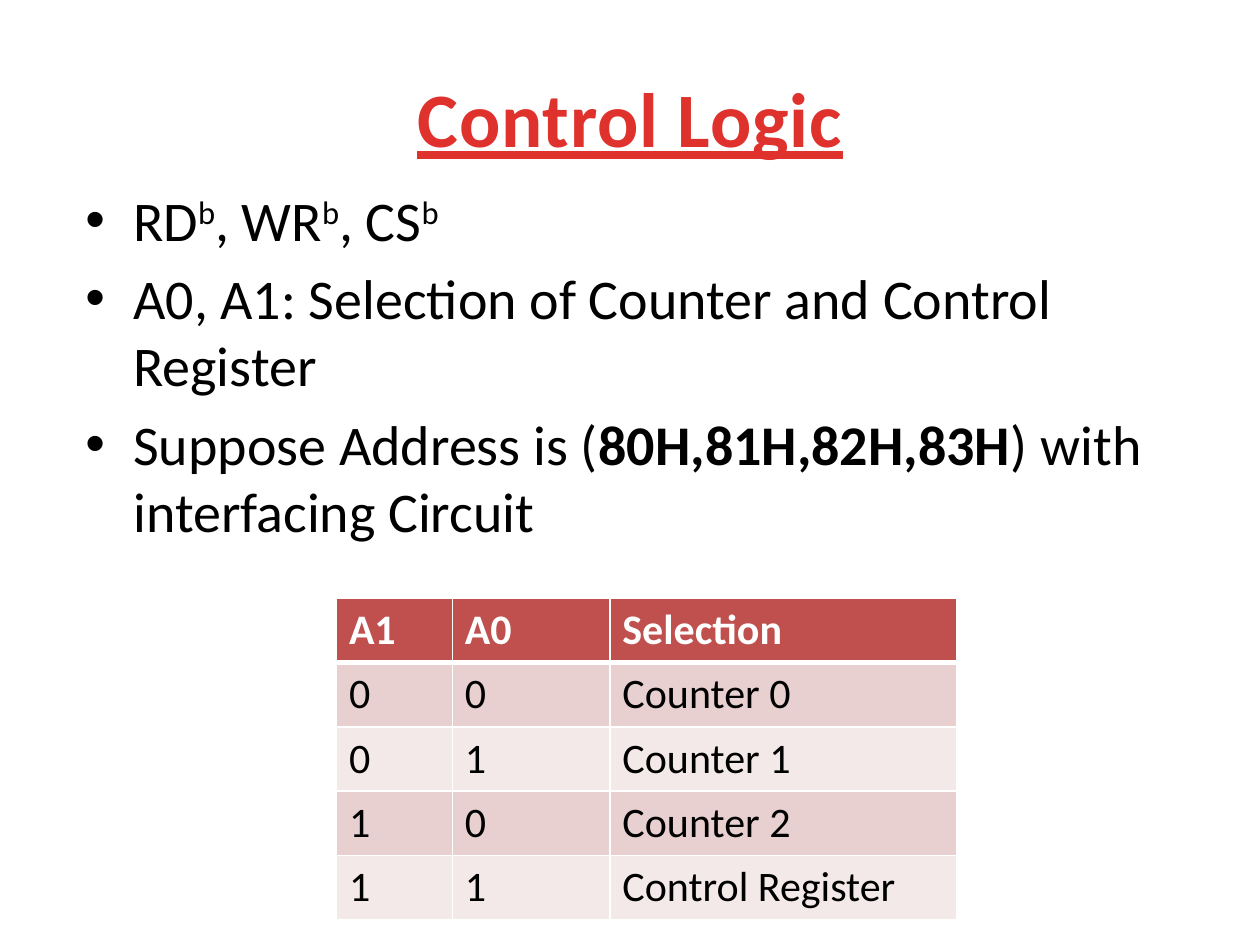
from pptx import Presentation
from pptx.dml.color import RGBColor
from pptx.enum.text import MSO_ANCHOR, PP_ALIGN
from pptx.oxml.ns import qn
from pptx.util import Inches, Pt
from lxml import etree

CENTER = PP_ALIGN.CENTER
TOP, MIDDLE = MSO_ANCHOR.TOP, MSO_ANCHOR.MIDDLE
FONT = "Calibri"
COLORS = {
    "title": "E0322D", "title end": "A2201C", "text": "000000",
    "white": "FFFFFF", "header": "C0504D", "odd": "E8D0D0", "even": "F4E9E9",
}


def add_span(para, text, size, color="text", bold=False):
    span = para.add_run()
    span.text = text
    formats = {"name": FONT, "size": Pt(size), "bold": bold}
    for name, value in formats.items():
        setattr(span.font, name, value)
    span.font.color.rgb = RGBColor.from_string(COLORS[color])
    return span


def add_box(page, left, top, width, height, anchor):
    box = page.shapes.add_textbox(Inches(left), Inches(top), Inches(width), Inches(height))
    box.text_frame.word_wrap = True
    box.text_frame.vertical_anchor = anchor
    return box.text_frame


deck = Presentation()
deck.slide_width, deck.slide_height = Inches(10), Inches(7.5)
page = deck.slides.add_slide(deck.slide_layouts[6])

title = add_box(page, 0.5, 0.3, 9, 1.25, MIDDLE).paragraphs[0]
title.alignment = CENTER
span = add_span(title, "Control Logic", 44, "title", True)
span.font.underline = True
span.font.fill.gradient()
span.font.fill.gradient_angle = 270
stops = zip(span.font.fill.gradient_stops, (0.25, 1), ("title", "title end"))
for stop, position, color in stops:
    stop.position = position
    stop.color.rgb = RGBColor.from_string(COLORS[color])
span.font._element.set("spc", "50")

BULLETS = [
    [("RD", ""), ("b", "raised"), (", WR", ""), ("b", "raised"), (", CS", ""), ("b", "raised")],
    [("A0, A1: Selection of Counter and Control Register", "")],
    [("Suppose Address is (", ""), ("80H,81H,82H,83H", "bold"), (") with interfacing Circuit", "")],
]
body = add_box(page, 0.58, 1.42, 9.17, 4.95, TOP)
for index, pieces in enumerate(BULLETS):
    para = body.add_paragraph() if index else body.paragraphs[0]
    para.space_before = Pt(6.4)
    settings = para._p.get_or_add_pPr()
    settings.set("marL", str(Inches(0.38)))
    settings.set("indent", str(-Inches(0.38)))
    etree.SubElement(settings, qn("a:buFont"), typeface="Arial")
    etree.SubElement(settings, qn("a:buChar"), char="•")
    for text, style in pieces:
        span = add_span(para, text, 32, bold=style == "bold")
        if style == "raised":
            span.font._element.set("baseline", "30000")

ROWS = [
    ("A1", "A0", "Selection"),
    ("0", "0", "Counter 0"),
    ("0", "1", "Counter 1"),
    ("1", "0", "Counter 2"),
    ("1", "1", "Control Register"),
]
COLUMNS = (0.92, 1.25, 2.75)
ROW_HEIGHT = 0.51
table = page.shapes.add_table(
    len(ROWS), len(COLUMNS), Inches(2.67), Inches(4.75),
    Inches(sum(COLUMNS)), Inches(ROW_HEIGHT * len(ROWS)),
).table
for column, width in zip(table.columns, COLUMNS):
    column.width = Inches(width)
for row_index, texts in enumerate(ROWS):
    is_header = row_index == 0
    fill = "header" if is_header else "odd" if row_index % 2 else "even"
    borders = {"L": 1, "R": 1, "T": 3 if row_index == 1 else 1, "B": 3 if is_header else 1}
    for column_index, text in enumerate(texts):
        cell = table.cell(row_index, column_index)
        add_span(cell.text_frame.paragraphs[0], text, 24, "white" if is_header else "text", is_header)
        settings = cell._tc.get_or_add_tcPr()
        for side, width in borders.items():
            line = etree.SubElement(settings, qn(f"a:ln{side}"), w=str(Pt(width)))
            paint = etree.SubElement(line, qn("a:solidFill"))
            etree.SubElement(paint, qn("a:srgbClr"), val=COLORS["white"])
        cell.fill.solid()
        cell.fill.fore_color.rgb = RGBColor.from_string(COLORS[fill])

deck.save("out.pptx")
